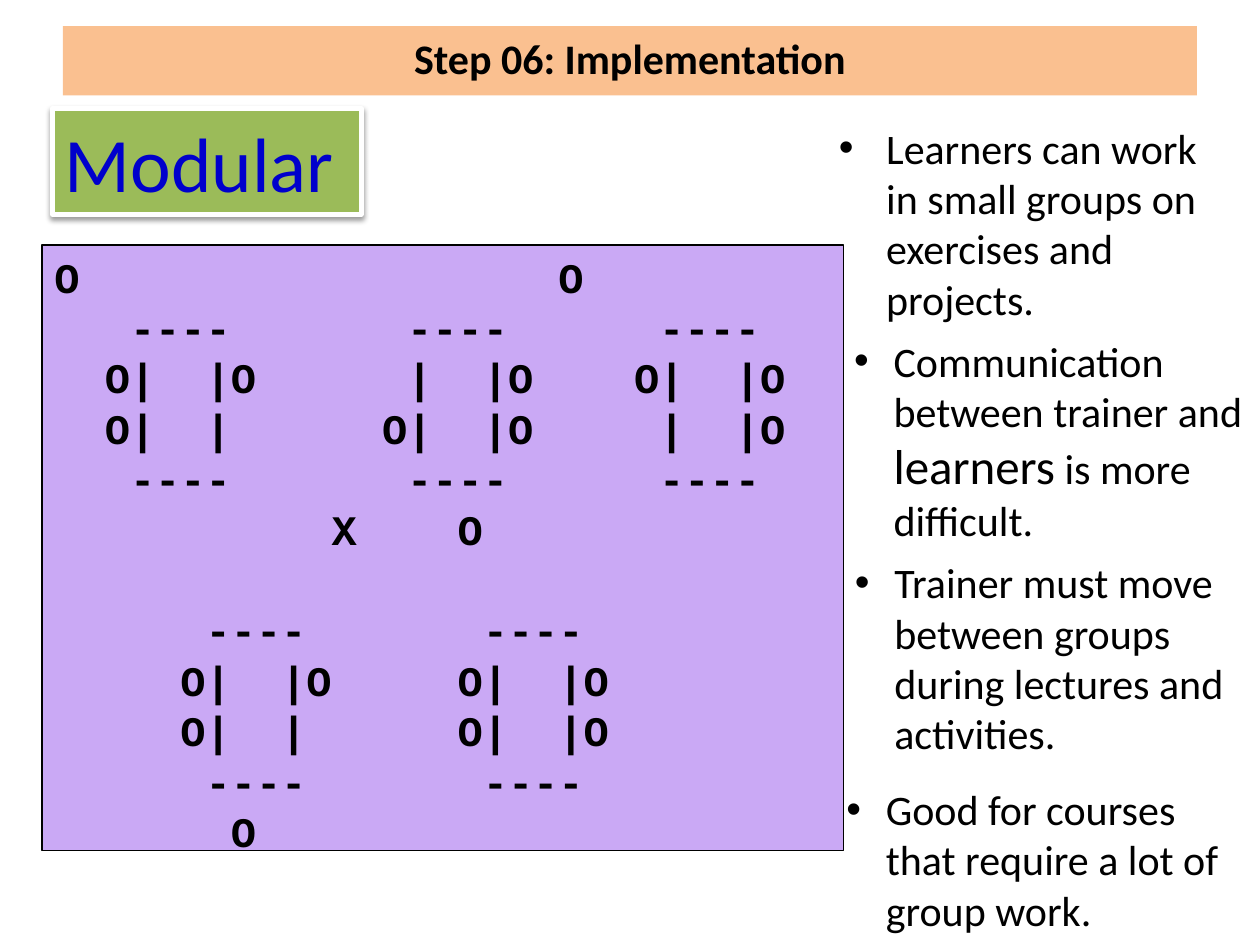
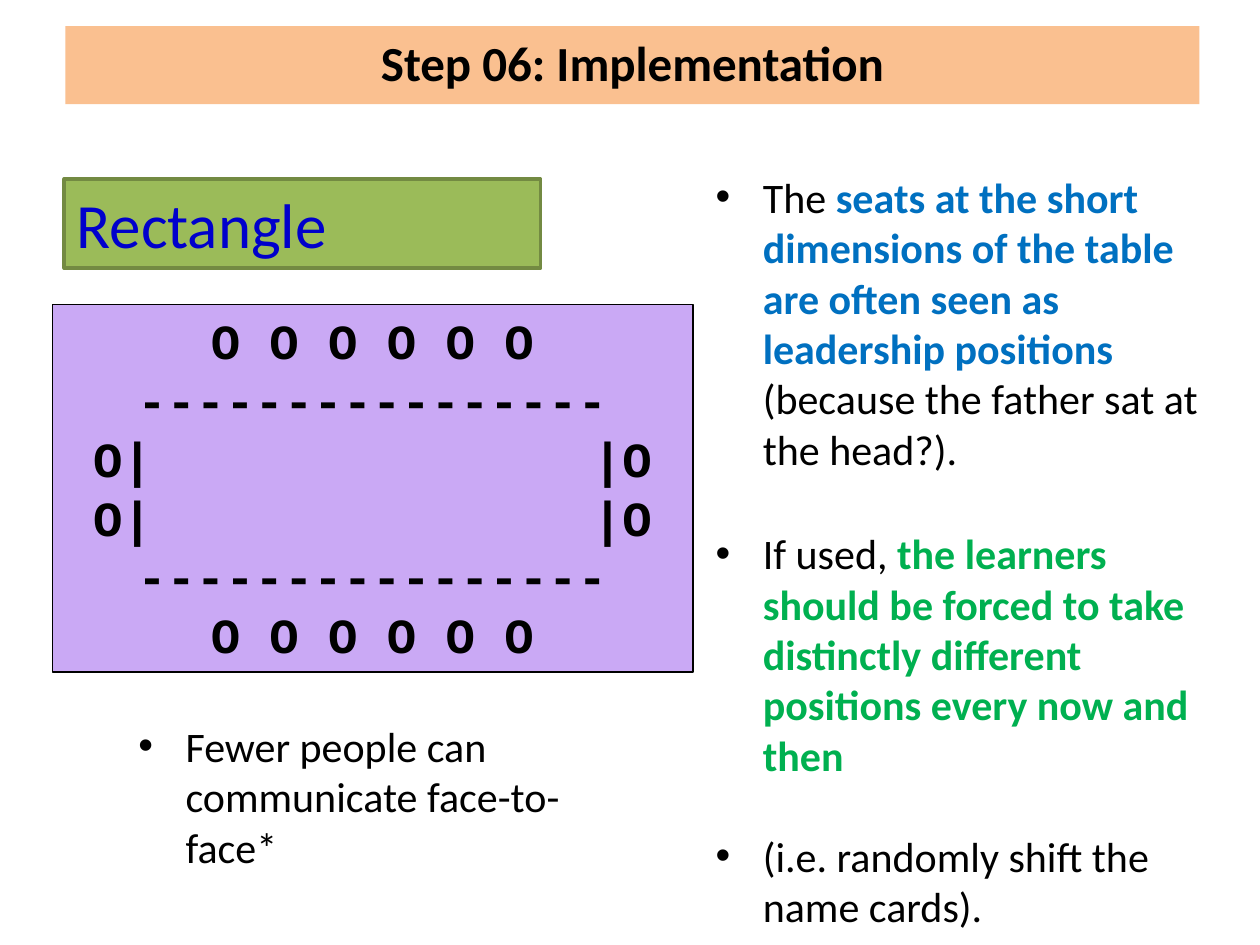
"""Builds two slides on seating layouts for training rooms."""
from lxml import etree
from pptx import Presentation
from pptx.dml.color import RGBColor
from pptx.enum.shapes import MSO_SHAPE as SHAPE
from pptx.enum.text import MSO_ANCHOR as ANCHOR, PP_ALIGN as ALIGN
from pptx.oxml import parse_xml
from pptx.oxml.ns import qn
from pptx.util import Pt

BLACK, BLUE, GREEN = "000000", "0070C0", "00B050"
BAND, LABEL, LABEL_TEXT, PLAN = "FAC090", "9BBB59", "0000CC", "CAA9F5"
SANS, MONO = "Calibri", "Courier New"
INSET = 7.2
SHADOW = (
    '<a:effectLst xmlns:a="http://schemas.openxmlformats.org/drawingml/2006/main">'
    '<a:outerShdw blurRad="39370" dist="20320" dir="5400000" rotWithShape="0">'
    '<a:srgbClr val="000000"><a:alpha val="38000"/></a:srgbClr>'
    '</a:outerShdw></a:effectLst>'
)

MODULAR_ROWS = [
    "O                   O",
    "   ----       ----      ----",
    "  O|  |O      |  |O    O|  |O",
    "  O|  |      O|  |O     |  |O",
    "   ----       ----      ----",
    "           X    O",
    "",
    "      ----       ----",
    "     O|  |O     O|  |O",
    "     O|  |      O|  |O",
    "      ----       ----",
    "       O",
]
SEATS, EDGE, SIDES = "O O O O O O", "-" * 16, "O|" + " " * 15 + "|O"
RECTANGLE_ROWS = [SEATS, EDGE, SIDES, SIDES, EDGE, SEATS]


def rgb(value):
    return RGBColor.from_string(value)


class Deck:
    def __init__(self):
        self.prs = Presentation()
        self.prs.slide_width, self.prs.slide_height = Pt(720), Pt(540)
        self.s = None

    def slide(self):
        self.s = self.prs.slides.add_slide(self.prs.slide_layouts[6])

    def run(self, p, text, size, color=BLACK, bold=False, font=SANS):
        r = p.add_run()
        r.text = text
        r.font.name, r.font.size, r.font.bold = font, Pt(size), bold
        r.font.color.rgb = rgb(color)

    def box(self, at, fill, line=None, weight=0.75, anchor=ANCHOR.TOP):
        sp = self.s.shapes.add_shape(SHAPE.RECTANGLE, *map(Pt, at))
        sp.shadow.inherit = False
        sp.fill.solid()
        sp.fill.fore_color.rgb = rgb(fill)
        if line:
            sp.line.color.rgb = rgb(line)
            sp.line.width = Pt(weight)
        else:
            sp.line.fill.background()
        tf = sp.text_frame
        tf.word_wrap, tf.vertical_anchor = True, anchor
        tf.paragraphs[0].alignment = ALIGN.LEFT
        return sp

    def title(self, left, height, size):
        p = self.box((left, 15, 648, height), BAND).text_frame.paragraphs[0]
        p.alignment = ALIGN.CENTER
        self.run(p, "Step 06: Implementation", size, bold=True)

    def label(self, at, text, size, line, weight, shadow=False):
        sp = self.box(at, LABEL, line, weight, ANCHOR.MIDDLE)
        self.run(sp.text_frame.paragraphs[0], text, size, LABEL_TEXT)
        if shadow:
            props = sp.fill._xPr
            props.remove(props.find(qn("a:effectLst")))
            props.append(parse_xml(SHADOW))

    def plan(self, at, rows, size, centred=False):
        """Sets each group of characters in a row on a tab stop at its column."""
        tf = self.box(at, PLAN, BLACK).text_frame
        char, gap = size * 0.6, 0
        for i, row in enumerate(rows):
            if not row:
                gap += size * 1.2
                continue
            p = tf.add_paragraph() if i else tf.paragraphs[0]
            p.alignment, p.space_before = ALIGN.LEFT, Pt(gap)
            gap, end = 0, 0
            start = (at[2] - 2 * INSET - len(row) * char) / 2 if centred else 0
            stops, text = etree.SubElement(p._p.get_or_add_pPr(), qn("a:tabLst")), ""
            for group in filter(None, map(str.strip, row.split("  "))):
                column = row.find(group, end)
                end = column + len(group)
                x = start + column * char
                if x:
                    etree.SubElement(stops, qn("a:tab"), pos=str(Pt(x)), algn="l")
                    text += "\t"
                text += group
            self.run(p, text, size, bold=True, font=MONO)

    def bullets(self, at, *items, indent=27, gap=28.8):
        tf = self.s.shapes.add_textbox(*map(Pt, at)).text_frame
        tf.word_wrap = True
        for i, item in enumerate(items):
            p = tf.add_paragraph() if i else tf.paragraphs[0]
            p.space_before = Pt(gap if i else 0)
            pr = p._p.get_or_add_pPr()
            pr.set("marL", str(Pt(indent)))
            pr.set("indent", str(-Pt(indent)))
            etree.SubElement(pr, qn("a:buFont"), typeface="Arial")
            etree.SubElement(pr, qn("a:buChar"), char="•")
            for text, size, color, bold in item:
                self.run(p, text, size, color, bold)


def part(text, color=BLACK, size=24):
    return text, size, color, color != BLACK


deck = Deck()

deck.slide()
deck.plan((24, 140, 458, 346), MODULAR_ROWS, 24)
deck.label((30, 62, 176.4, 60.5), "Modular", 44, "FFFFFF", 3, shadow=True)
deck.bullets((476.6, 444.2, 240, 83),
             [part("Good for courses that require a lot of group work.")], indent=22.5)
deck.bullets((481.5, 314.6, 230, 119),
             [part("Trainer must move between groups during lectures and activities.")],
             indent=22.5)
deck.bullets((481, 188, 240, 124.5),
             [part("Communication between trainer and "), part("learners", size=28),
              part(" is more difficult.")], indent=22.5)
deck.bullets((472.3, 66.2, 240.5, 120),
             [part("Learners can work in small groups on exercises and projects.")])
deck.title(36, 39.6, 24)

deck.slide()
deck.plan((30, 174, 366, 210), RECTANGLE_ROWS, 28, centred=True)
deck.label((36.7, 102.2, 272.2, 51.1), "Rectangle", 36, "738A42", 2)
deck.bullets((72, 408, 288, 106), [part("Fewer people can communicate face-to-face*")])
deck.bullets((401.8, 298, 306, 227),
             [part("If used, "),
              part("the learners should be forced to take distinctly different "
                   "positions every now and then", GREEN)],
             [part("(i.e. randomly shift the name cards).")])
deck.bullets((401.8, 94.3, 306, 186.5),
             [part("The "),
              part("seats at the short dimensions of the table are often seen as "
                   "leadership positions ", BLUE),
              part("(because the father sat at the head?).")])
deck.title(37.4, 44.6, 28)

deck.prs.save("out.pptx")
